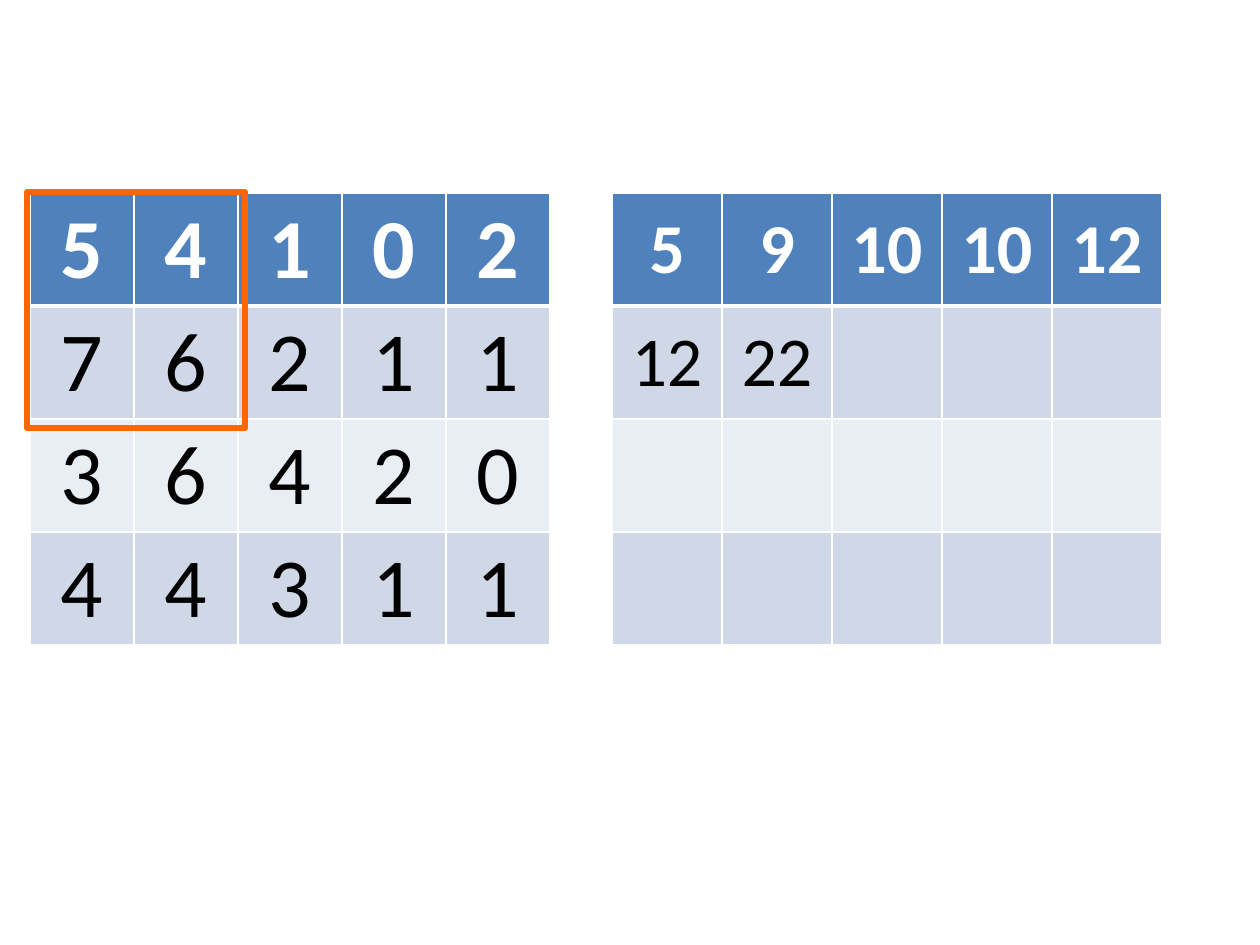
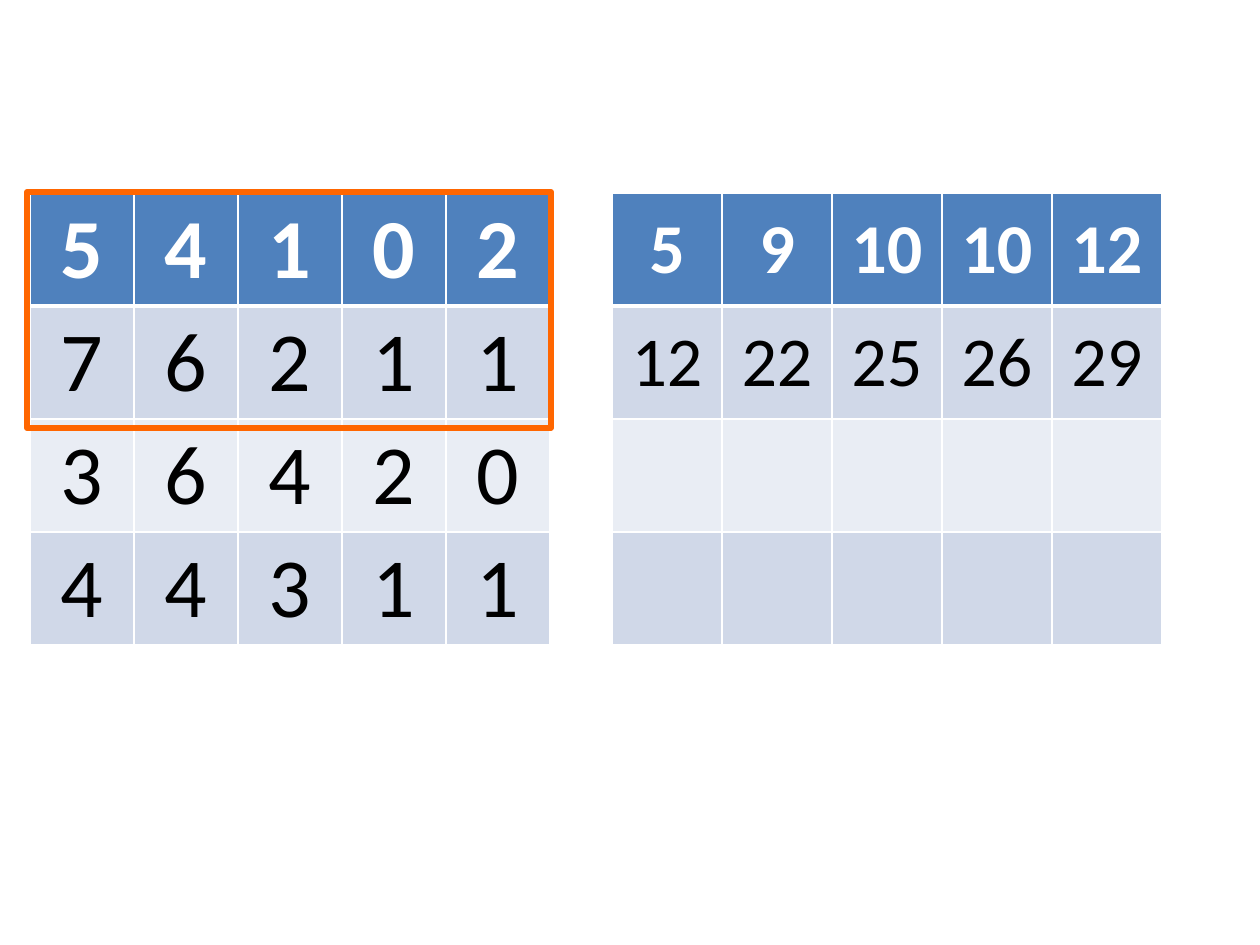
"""Two slides that fill in a prefix-sum table beside its source matrix."""
from lxml.etree import SubElement
from pptx import Presentation
from pptx.dml.color import RGBColor
from pptx.enum.shapes import MSO_SHAPE
from pptx.enum.text import MSO_ANCHOR, PP_ALIGN
from pptx.oxml.ns import qn
from pptx.util import Emu, Pt

COLORS = {
    "header": "4F81BD",
    "odd": "D0D8E8",
    "even": "E9EDF4",
    "border": "FFFFFF",
    "header_text": "FFFFFF",
    "body_text": "000000",
    "highlight": "FF6600",
}
FONT = "Calibri"
EMU_PER_PX = 914400 / 126
ROWS, COLUMNS = 4, 5
TABLE_TOP, ROW_HEIGHT = 193, 113

MATRIX = [
    [5, 4, 1, 0, 2],
    [7, 6, 2, 1, 1],
    [3, 6, 4, 2, 0],
    [4, 4, 3, 1, 1],
]
FIRST_SUMS = [5, 9, 10, 10, 12]
STEPS = [
    {"sums": [FIRST_SUMS, [12, 22]], "highlight_width": 218},
    {"sums": [FIRST_SUMS, [12, 22, 25, 26, 29]], "highlight_width": 524},
]
MATRIX_LAYOUT = {"left": 30, "column_width": 104, "size": 48}
SUMS_LAYOUT = {"left": 612, "column_width": 110, "size": 40}
HIGHLIGHT = {"left": 27, "top": 192, "height": 236}


def px(length):
    return Emu(round(length * EMU_PER_PX))


def color(name):
    return RGBColor.from_string(COLORS[name])


def write(cell, text, *, size, color_name, bold):
    paragraph = cell.text_frame.paragraphs[0]
    paragraph.alignment = PP_ALIGN.CENTER
    run = paragraph.add_run()
    run.text = text
    run.font.name = FONT
    run.font.size = Pt(size)
    run.font.bold = bold
    run.font.color.rgb = color(color_name)


def add_borders(cell, row):
    widths = {"L": 1, "R": 1, "T": 3 if row == 1 else 1, "B": 3 if row == 0 else 1}
    properties = cell._tc.get_or_add_tcPr()
    for side, width in widths.items():
        line = SubElement(properties, qn(f"a:ln{side}"), w=str(Pt(width)))
        fill = SubElement(line, qn("a:solidFill"))
        SubElement(fill, qn("a:srgbClr"), val=COLORS["border"])


def add_grid(slide, values, *, left, column_width, size):
    table = slide.shapes.add_table(
        ROWS, COLUMNS, px(left), px(TABLE_TOP),
        px(COLUMNS * column_width), px(ROWS * ROW_HEIGHT),
    ).table
    table.first_row = table.horz_banding = False
    for column in table.columns:
        column.width = px(column_width)
    for row in range(ROWS):
        table.rows[row].height = px(ROW_HEIGHT)
        row_values = values[row] if row < len(values) else []
        header = row == 0
        fill_name = "header" if header else "odd" if row % 2 else "even"
        for column in range(COLUMNS):
            cell = table.cell(row, column)
            cell.vertical_anchor = MSO_ANCHOR.MIDDLE
            cell.margin_top = cell.margin_bottom = 0
            add_borders(cell, row)
            cell.fill.solid()
            cell.fill.fore_color.rgb = color(fill_name)
            if column < len(row_values):
                write(cell, str(row_values[column]), size=size, bold=header,
                      color_name="header_text" if header else "body_text")


def add_highlight(slide, width):
    shape = slide.shapes.add_shape(
        MSO_SHAPE.RECTANGLE, px(HIGHLIGHT["left"]), px(HIGHLIGHT["top"]),
        px(width), px(HIGHLIGHT["height"]),
    )
    shape.shadow.inherit = False
    shape.fill.background()
    shape.line.color.rgb = color("highlight")
    shape.line.width = Pt(3.5)
    SubElement(shape.line._ln, qn("a:round"))


def main():
    presentation = Presentation()
    presentation.slide_width, presentation.slide_height = px(1260), px(945)
    for step in STEPS:
        slide = presentation.slides.add_slide(presentation.slide_layouts[6])
        add_grid(slide, MATRIX, **MATRIX_LAYOUT)
        add_grid(slide, step["sums"], **SUMS_LAYOUT)
        add_highlight(slide, step["highlight_width"])
    presentation.save("out.pptx")


if __name__ == "__main__":
    main()
